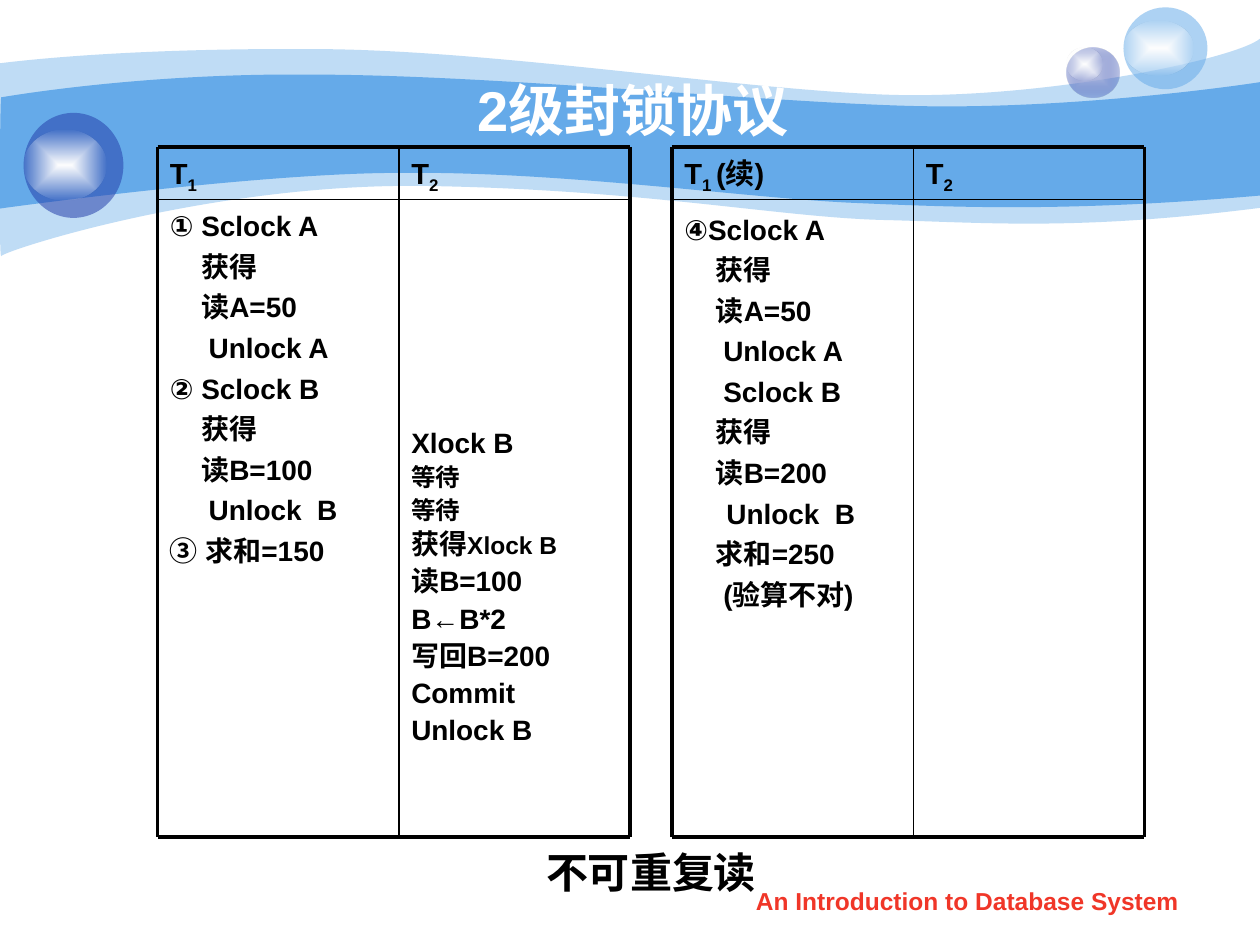
"""Build the slide on the second-level locking protocol."""
from dataclasses import dataclass, field

from lxml.etree import SubElement
from pptx import Presentation
from pptx.dml.color import RGBColor
from pptx.enum.shapes import MSO_CONNECTOR, MSO_SHAPE
from pptx.enum.text import MSO_ANCHOR, PP_ALIGN
from pptx.oxml import parse_xml
from pptx.oxml.ns import nsdecls, qn
from pptx.util import Emu, Inches, Pt

BLACK = RGBColor(0x00, 0x00, 0x00)
WHITE = RGBColor(0xFF, 0xFF, 0xFF)
SKY = RGBColor(0x65, 0xAA, 0xE9)
NAVY = RGBColor(0x23, 0x3D, 0xA9)
MIST = RGBColor(0xC6, 0xCC, 0xE8)
RED = RGBColor(0xF0, 0x36, 0x28)

WIDTH, HEIGHT = Inches(10), Inches(7.5)
COLUMNS = 120
UNIT = WIDTH / COLUMNS
RULE_COLUMNS = (0, 23, 45)
RULE_ROWS = (14, 19, 79.7)
RULE_WEIGHTS = (2.25, 1, 2.25)
TOP_EDGE_POINTS = 9


@dataclass
class Stop:
    """A colour with its opacity in percent."""
    color: RGBColor
    opacity: int = 100


@dataclass
class Area:
    """A rectangle in grid units."""
    left: float
    top: float
    width: float
    height: float

    def lengths(self) -> list[Emu]:
        return [grid(n) for n in (self.left, self.top, self.width, self.height)]


@dataclass
class Line:
    """A step of a schedule: text, indent in grid units and format."""
    text: str
    indent: float = 0
    size: float = 16
    spacing: float = 1
    before: float = 4
    tail: str = ""


@dataclass
class Steps:
    """The steps of one transaction, with the box top and top inset."""
    lines: list[Line]
    width: float = 22
    top: float = 19.3
    inset: float = 0.05


@dataclass
class Schedule:
    """A ruled block with two columns of transaction steps."""
    left: float
    suffix: str
    first: Steps
    second: Steps = field(default_factory=lambda: Steps([]))


@dataclass
class Label:
    """A single line of free text."""
    text: str
    area: Area
    size: float
    color: RGBColor
    anchor: MSO_ANCHOR
    font: str = "Arial"
    wrap: bool = True


GLOSS = [Stop(WHITE), Stop(WHITE, 0)]
BALLS = [
    (Area(101.6, 4.5, 5, 4.8), [Stop(MIST), Stop(NAVY, 31)]),
    (Area(101.6, 4.5, 3.4, 3.2), GLOSS),
    (Area(107, 0.7, 8, 7.8), [Stop(SKY, 53)]),
    (Area(107, 2, 6.7, 5.2), GLOSS),
    (Area(2.25, 10.75, 9.5, 10), [Stop(NAVY, 53)]),
    (Area(2.25, 12.4, 7.9, 6.7), GLOSS),
]
WAVES = [
    ([(0, 6.7), (2.4, 6.3), (10.7, 5.1), (24.7, 5.2), (38.6, 5.2), (57.5, 9.3), (69.9, 10),
      (82.2, 10.7), (98, 6.3), (100, 4.1), (100, 22), (85.8, 24.4), (78.7, 23.6), (70.5, 23.3),
      (62.2, 23.1), (51.5, 20.1), (34.3, 19.7), (17.2, 19.2), (0.4, 26.5), (0.1, 27.1),
      (-0.1, 27.7), (0, 10), (0, 6.7)], Stop(SKY, 41)),
    ([(0.1, 10.3), (0.2, 10.3), (11, 7.7), (24.8, 7.9), (38.6, 7.9), (59.5, 10.7), (71.8, 11.2),
      (84.1, 11.7), (97.6, 9.2), (100, 8.7), (100, 20.7), (85.3, 22.4), (76.5, 22), (68.2, 21.5),
      (59.9, 21.1), (44.7, 18.1), (31.7, 18.3), (20.3, 18.3), (-0.2, 22.1), (-0.1, 22.1),
      (0, 22.1), (0, 10.3), (0.1, 10.3)], Stop(SKY)),
]
LABELS = [
    Label("2级封锁协议", Area(11.8, 7.9, 97, 4.9), 32, WHITE, MSO_ANCHOR.MIDDLE),
    Label("不可重复读", Area(45, 79, 34, 8), 24, BLACK, MSO_ANCHOR.MIDDLE, "Times New Roman", False),
    Label("An Introduction to Database System", Area(68.5, 83.8, 47.3, 4.2), 14, RED, MSO_ANCHOR.TOP),
]
SCHEDULES = [
    Schedule(15, "", Steps([
        Line("① Sclock A"), Line("获得", 3), Line("读A=50", 3), Line("Unlock A", 3.7),
        Line("② Sclock B"), Line("获得", 3), Line("读B=100", 3), Line("Unlock  B", 3.7),
        Line("③ 求和=150")]), Steps([
            Line("Xlock B"), Line("等待", 0, 14, 0.9, 3.5), Line("等待", 0, 14, 0.9, 3.5),
            Line("获得", 0, 16, 0.9, 3.5, "Xlock B"),
            *(Line(text, spacing=0.9) for text in
              ("读B=100", "B←B*2", "写回B=200", "Commit", "Unlock B"))], 23, inset=1.77)),
    Schedule(64, "(续)", Steps([
        Line("④Sclock A"), Line("获得", 3), Line("读A=50", 3), Line("Unlock A", 3.7),
        Line("Sclock B", 3.7), Line("获得", 3), Line("读B=200", 3), Line("Unlock  B", 4),
        Line("求和=250", 3), Line("(验算不对)", 3.7)], top=17.2, inset=0.25)),
]


def grid(units: float) -> Emu:
    """Turn grid units into a length."""
    return Emu(round(units * UNIT))


def paint(shape, stops: list[Stop]) -> None:
    """Fill a shape with one colour or a gradient from its centre."""
    shape.shadow.inherit = False
    shape.line.fill.background()
    shape.fill.background()
    colors = [f'<a:srgbClr val="{s.color}"><a:alpha val="{s.opacity * 1000}"/></a:srgbClr>' for s in stops]
    if len(colors) == 1:
        xml = f'<a:solidFill {nsdecls("a")}>{colors[0]}</a:solidFill>'
    else:
        marks = "".join(f'<a:gs pos="{n * 100000}">{c}</a:gs>' for n, c in enumerate(colors))
        xml = (f'<a:gradFill {nsdecls("a")} rotWithShape="1"><a:gsLst>{marks}</a:gsLst><a:path path="rect">'
               '<a:fillToRect l="50000" t="50000" r="50000" b="50000"/></a:path></a:gradFill>')
    blank = shape._element.spPr.find(qn("a:noFill"))
    blank.getparent().replace(blank, parse_xml(xml))


def draw_wave(page, knots: list[tuple[float, float]], stop: Stop) -> None:
    """Draw a band of cubic curves whose knots are percents of the slide."""
    points = [(round(x * WIDTH / 100), round(y * HEIGHT / 100)) for x, y in knots]
    builder = page.shapes.build_freeform(*points[0])
    builder.add_line_segments(points[1:], close=True)
    wave = builder.convert_to_shape()
    segments = list(wave._element.iter(qn("a:lnTo")))
    for edge in (segments[:TOP_EDGE_POINTS], segments[TOP_EDGE_POINTS + 1:]):
        for start in range(0, len(edge) - 2, 3):
            curve = parse_xml(f'<a:cubicBezTo {nsdecls("a")}/>')
            edge[start].addprevious(curve)
            for segment in edge[start:start + 3]:
                curve.append(segment[0])
                segment.getparent().remove(segment)
    paint(wave, [stop])


def add_span(para, text: str, size: float, color: RGBColor = BLACK, font: str = "Arial") -> object:
    """Add a bold run to a paragraph."""
    span = para.add_run()
    span.text = text
    for name, value in {"size": Pt(size), "name": font, "bold": True}.items():
        setattr(span.font, name, value)
    span.font.color.rgb = color
    return span


def add_step_span(para, text: str, size: float, base: int = 0) -> None:
    """Add a run whose East Asian font is Arial too."""
    properties = add_step = add_span(para, text, size)._r.get_or_add_rPr()
    SubElement(add_step, qn("a:ea")).set("typeface", "Arial")
    if base:
        properties.set("baseline", str(base * 1000))


def add_frame(page, area: Area, **formats):
    """Add a text box and return its frame."""
    frame = page.shapes.add_textbox(*area.lengths()).text_frame
    for name, value in {"word_wrap": True, **formats}.items():
        setattr(frame, name, value)
    return frame


def draw_label(page, label: Label) -> None:
    """Draw a centred line of text."""
    frame = add_frame(page, label.area, word_wrap=label.wrap, vertical_anchor=label.anchor)
    para = frame.paragraphs[0]
    para.alignment = PP_ALIGN.CENTER
    add_span(para, label.text, label.size, label.color, label.font)


def draw_steps(page, left: float, steps: Steps) -> None:
    """Write the steps of one transaction."""
    frame = add_frame(page, Area(left, steps.top, steps.width, 60.7), margin_top=Inches(steps.inset))
    for index, line in enumerate(steps.lines):
        para = frame.add_paragraph() if index else frame.paragraphs[0]
        para.line_spacing = line.spacing
        para.space_before = Pt(line.before if index else 0)
        para._p.get_or_add_pPr().set("marL", str(grid(line.indent)))
        add_step_span(para, line.text, line.size)
        if line.tail:
            add_step_span(para, line.tail, 14)


def draw_rule(page, start: tuple[float, float], end: tuple[float, float], weight: float) -> None:
    """Draw a straight black rule between two grid points."""
    rule = page.shapes.add_connector(MSO_CONNECTOR.STRAIGHT, *map(grid, start + end))
    rule.line.color.rgb = BLACK
    rule.line.width = Pt(weight)
    SubElement(rule._element.spPr, qn("a:effectLst"))


def draw_schedule(page, schedule: Schedule) -> None:
    """Draw the steps, headings and rules of a schedule."""
    edges = [schedule.left + offset for offset in RULE_COLUMNS]
    for left, steps in zip(edges, (schedule.first, schedule.second)):
        if steps.lines:
            draw_steps(page, left, steps)
    for column, suffix in enumerate((schedule.suffix, "")):
        frame = add_frame(page, Area(edges[column], 14, 23 - column, 5), margin_top=Inches(0.07))
        para = frame.paragraphs[0]
        para.line_spacing = 0.9
        add_step_span(para, "T", 16.6)
        add_step_span(para, f"{column + 1} " if suffix else str(column + 1), 16.6, -25)
        if suffix:
            add_step_span(para, suffix, 16.6)
    for row, weight in zip(RULE_ROWS, RULE_WEIGHTS):
        draw_rule(page, (edges[0], row), (edges[-1], row), weight)
    for edge, weight in zip(edges, RULE_WEIGHTS):
        draw_rule(page, (edge, RULE_ROWS[0]), (edge, RULE_ROWS[-1]), weight)


def main() -> None:
    """Build and save the deck."""
    deck = Presentation()
    deck.slide_width, deck.slide_height = WIDTH, HEIGHT
    page = deck.slides.add_slide(deck.slide_layouts[6])
    for knots, stop in WAVES:
        draw_wave(page, knots, stop)
    for area, stops in BALLS:
        paint(page.shapes.add_shape(MSO_SHAPE.OVAL, *area.lengths()), stops)
    for label in LABELS:
        draw_label(page, label)
    for schedule in SCHEDULES:
        draw_schedule(page, schedule)
    deck.save("out.pptx")


if __name__ == "__main__":
    main()
